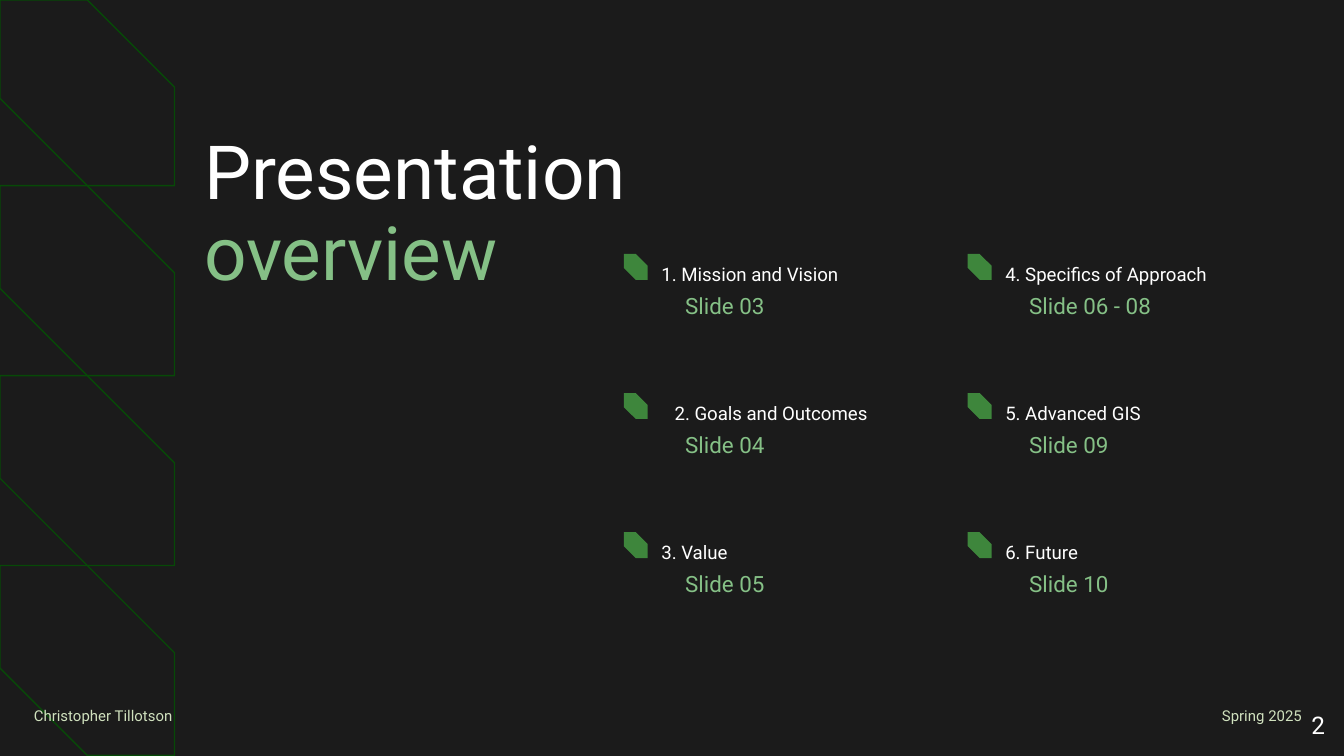
from pptx import Presentation
from pptx.dml.color import RGBColor
from pptx.enum.shapes import MSO_SHAPE
from pptx.enum.text import MSO_ANCHOR, PP_ALIGN
from pptx.util import Cm, Pt

BACKGROUND = RGBColor(0x1B, 0x1B, 0x1B)
OUTLINE = RGBColor(0x07, 0x49, 0x07)
MARKER = RGBColor(0x3E, 0x86, 0x3C)
ACCENT = RGBColor(0x85, 0xC0, 0x86)
FOOTER = RGBColor(0xD0, 0xE1, 0xBE)
WHITE = RGBColor(0xFF, 0xFF, 0xFF)

FONT = "Roboto"
INSET = 0.25
TEXT_INSETS = (0, INSET, INSET, INSET)
ROW_TOP = 4.8
ROW_PITCH = 2.63
COLUMNS = [
    (11.79, 5.36, [
        ("1. Mission and Vision", "Slide 03", 0),
        ("2. Goals and Outcomes", "Slide 04", INSET),
        ("3. Value", "Slide 05", 0),
    ]),
    (18.29, 5.77, [
        ("4. Specifics of Approach", "Slide 06 - 08", 0),
        ("5. Advanced GIS", "Slide 09", 0),
        ("6. Future", "Slide 10", 0),
    ]),
]


def add_snipped(slide, left, top, width, height, fill=None, line=None):
    """Add a rectangle with two opposite corners cut, filled or outlined."""
    shape = slide.shapes.add_shape(
        MSO_SHAPE.SNIP_2_DIAG_RECTANGLE, Cm(left), Cm(top), Cm(width), Cm(height))
    shape.adjustments[0] = 0
    shape.adjustments[1] = 0.5
    shape.shadow.inherit = False
    if fill:
        shape.fill.solid()
        shape.fill.fore_color.rgb = fill
    else:
        shape.fill.background()
    if line:
        shape.line.color.rgb = line
        shape.line.width = Pt(0.75)
    else:
        shape.line.fill.background()


def add_text(slide, left, top, width, height, text, size, color, insets=TEXT_INSETS,
             anchor=MSO_ANCHOR.TOP, align=PP_ALIGN.LEFT, spacing=1.0):
    """Add a one-paragraph text box and return its paragraph."""
    frame = slide.shapes.add_textbox(Cm(left), Cm(top), Cm(width), Cm(height)).text_frame
    frame.word_wrap = True
    frame.vertical_anchor = anchor
    (frame.margin_left, frame.margin_top,
     frame.margin_right, frame.margin_bottom) = map(Cm, insets)
    paragraph = frame.paragraphs[0]
    paragraph.alignment = align
    paragraph.line_spacing = spacing
    paragraph.font.name = FONT
    paragraph.font.size = Pt(size)
    paragraph.font.color.rgb = color
    paragraph.add_run().text = text
    return paragraph


def add_side_pattern(slide):
    """Stack the outlined shapes down the left edge."""
    top = 0
    for height in (3.51, 3.59, 3.59, 3.59):
        add_snipped(slide, 0, top, 3.3, height, line=OUTLINE)
        top += height


def add_title(slide):
    """Add the two-colour title."""
    paragraph = add_text(slide, 3.86, 2.31, 8.92, 3.58, "Presentation ", 40, WHITE,
                         spacing=0.9)
    run = paragraph.add_run()
    run.text = "overview"
    run.font.color.rgb = ACCENT


def add_topic(slide, left, top, width, topic, pages, indent):
    """Add one agenda entry: marker, topic and slide numbers."""
    add_snipped(slide, left, top, 0.45, 0.49, fill=MARKER)
    add_text(slide, left + 0.71, top, width, 0.84, topic, 10, WHITE,
             insets=(indent, INSET, INSET, INSET), anchor=MSO_ANCHOR.BOTTOM, spacing=1.15)
    add_text(slide, left + 1.16, top + 0.39, 4.4, 0.84, pages, 12, ACCENT, spacing=1.15)


def add_footer(slide):
    """Add the author, the date and the slide number."""
    add_text(slide, 0.64, 13.31, 8.33, 0.48, "Christopher Tillotson", 8, FOOTER,
             insets=(0, 0, INSET, 0), anchor=MSO_ANCHOR.MIDDLE, spacing=0.9)
    add_text(slide, 19.81, 13.31, 4.8, 0.48, "Spring 2025", 8, FOOTER,
             insets=(0, 0, 0, 0), anchor=MSO_ANCHOR.MIDDLE, align=PP_ALIGN.RIGHT,
             spacing=0.9)
    add_text(slide, 23.77, 13.18, 1.52, 1.09, "2", 13, WHITE,
             insets=(INSET,) * 4, align=PP_ALIGN.RIGHT)


def main():
    """Build the overview slide and save it."""
    presentation = Presentation()
    presentation.slide_width = Cm(25.4)
    presentation.slide_height = Cm(14.29)
    slide = presentation.slides.add_slide(presentation.slide_layouts[6])
    slide.background.fill.solid()
    slide.background.fill.fore_color.rgb = BACKGROUND

    add_side_pattern(slide)
    add_title(slide)
    for left, width, topics in COLUMNS:
        for row, (topic, pages, indent) in enumerate(topics):
            add_topic(slide, left, ROW_TOP + row * ROW_PITCH, width, topic, pages, indent)
    add_footer(slide)
    presentation.save("out.pptx")


if __name__ == "__main__":
    main()
